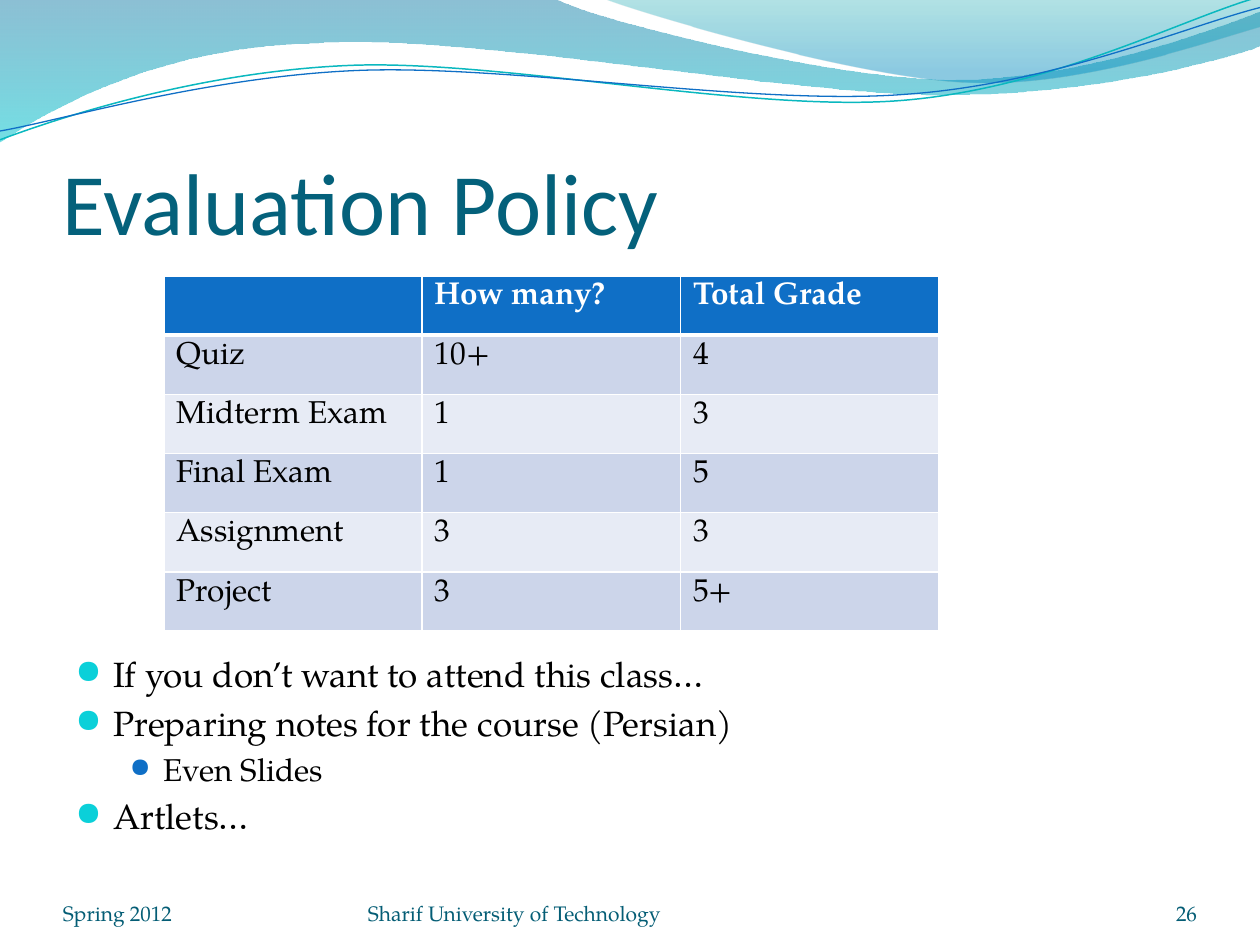
from lxml.etree import SubElement
from pptx import Presentation
from pptx.dml.color import RGBColor
from pptx.enum.text import MSO_ANCHOR, PP_ALIGN
from pptx.oxml.ns import qn
from pptx.util import Inches, Pt

SERIF = "TeX Gyre Pagella"


def color(code):
    return RGBColor.from_string(code)


def wave(start, parts, closed):
    """Add an outline; a part of one point is a line, of three a Bezier curve."""
    pen = slide.shapes.build_freeform(Inches(start[0]), Inches(start[1]))
    pen.add_line_segments([(Inches(x), Inches(y)) for part in parts for x, y in part],
                          close=closed)
    shape = pen.convert_to_shape()
    shape.shadow.inherit = False
    route = next(shape._element.iter(qn("a:path")))
    sides = iter(route.findall(qn("a:lnTo")))
    for part in parts:
        side = next(sides)
        if len(part) == 3:
            side.addprevious(bend := SubElement(route, qn("a:cubicBezTo")))
            for knot in (side, next(sides), next(sides)):
                bend.append(knot[0])
                route.remove(knot)
    return shape


deck = Presentation()
deck.slide_width, deck.slide_height = Inches(10), Inches(7.5)
slide = deck.slides.add_slide(deck.slide_layouts[6])

# Header bands: start, parts, gradient stops (position, color, opacity %)
bands = [
    ((0, 0), [[(4.4, -0.01)],
              [(4.76, 0.17), (6.64, 0.63), (7.58, 0.63)],
              [(8.53, 0.63), (9.58, 0.26), (10, 0.09)],
              [(10.01, 0.36)],
              [(9.83, 0.44), (8.7, 0.76), (7.46, 0.75)],
              [(6.22, 0.75), (3.82, 0.28), (2.57, 0.34)],
              [(1.29, 0.36), (0.46, 0.83), (-0.01, 1.13)],
              [(0, 0)]],
     [(0, "0074A1", 45), (1, "00C6CF", 55)]),
    ((4.79, -0.01), [[(5.09, 0.11), (6.82, 0.62), (7.69, 0.65)],
                     [(8.56, 0.69), (9.61, 0.32), (10, 0.21)],
                     [(10, 0)],
                     [(4.79, -0.01)]],
     [(0, "00A1A9", 30), (0.8, "008BBF", 45)]),
]
for start, parts, stops in bands:
    band = wave(start, parts, True)
    band.line.fill.background()
    band.fill.gradient()
    band.fill.gradient_angle = 270
    for stop, (place, code, alpha) in zip(band.fill.gradient_stops, stops):
        stop.position = place
        stop.color.rgb = color(code)
    tints = band._element.spPr.iter(qn("a:srgbClr"))
    for tint, (place, code, alpha) in zip(tints, stops):
        SubElement(tint, qn("a:alpha"), val=str(alpha * 1000))

# Header lines
lines = [
    ((0, 1.11), [[(0.48, 0.93), (1.58, 0.57), (2.77, 0.52)],
                 [(3.95, 0.47), (5.93, 0.89), (7.13, 0.8)],
                 [(8.33, 0.71), (9.38, 0.15), (9.98, -0.02)]], "0AB8BF", 0.85),
    ((0, 1.04), [[(0.47, 0.96), (1.64, 0.61), (2.83, 0.56)],
                 [(4.03, 0.51), (5.97, 0.84), (7.17, 0.75)],
                 [(8.36, 0.67), (9.41, 0.21), (10, 0.06)]], "0F6FC6", 0.75),
]
for start, parts, code, width in lines:
    curve = wave(start, parts, False)
    curve.fill.background()
    curve.line.color.rgb = color(code)
    curve.line.width = Pt(width)

# Title and footer
labels = [
    ("Evaluation Policy", 0.5, 0.76, 9, 1.25, 50, "Calibri", "04617B", PP_ALIGN.LEFT),
    ("Spring 2012", 0.5, 6.95, 2.33, 0.4, 12, SERIF, "045D75", PP_ALIGN.LEFT),
    ("Sharif University of Technology", 2.92, 6.95, 3.67, 0.4, 12, SERIF, "045D75",
     PP_ALIGN.LEFT),
    ("26", 8.67, 6.95, 0.83, 0.4, 12, SERIF, "045D75", PP_ALIGN.RIGHT),
]
for text, left, top, width, height, size, face, code, align in labels:
    box = slide.shapes.add_textbox(Inches(left), Inches(top), Inches(width), Inches(height))
    frame = box.text_frame
    frame.word_wrap = True
    frame.vertical_anchor = MSO_ANCHOR.BOTTOM
    frame.margin_left = frame.margin_right = 0
    frame.margin_top = frame.margin_bottom = 0
    para = frame.paragraphs[0]
    para.text, para.alignment = text, align
    font = para.font
    font.size, font.name, font.color.rgb = Pt(size), face, color(code)

# Bullets
notes = [
    ("If you don’t want to attend this class…", 0),
    ("Preparing notes for the course (Persian)", 0),
    ("Even Slides", 1),
    ("Artlets…", 0),
]
levels = [(0.3, 0.3, 20, "0BD0D9", 95), (0.7, 0.27, 18, "0F6FC6", 85)]
box = slide.shapes.add_textbox(Inches(0.5), Inches(5.13), Inches(9), Inches(1.79))
frame = box.text_frame
frame.word_wrap = True
for row, (text, level) in enumerate(notes):
    indent, hang, size, code, scale = levels[level]
    para = frame.add_paragraph() if row else frame.paragraphs[0]
    para.text, para.level = text, level
    para.space_before = Pt(size * 0.2 if row else 0)
    props = para._p.get_or_add_pPr()
    props.set("marL", str(Inches(indent)))
    props.set("indent", str(-Inches(hang)))
    SubElement(SubElement(props, qn("a:buClr")), qn("a:srgbClr"), val=code)
    SubElement(props, qn("a:buSzPct"), val=str(scale * 1000))
    SubElement(props, qn("a:buFont"), typeface="OpenSymbol")
    SubElement(props, qn("a:buChar"), char="●")
    font = para.font
    font.size, font.name, font.color.rgb = Pt(size), SERIF, color("000000")

# Grades
grades = [
    ("", "How many?", "Total Grade"),
    ("Quiz", "10+", "4"),
    ("Midterm Exam", "1", "3"),
    ("Final Exam", "1", "5"),
    ("Assignment", "3", "3"),
    ("Project", "3", "5+"),
]
table = slide.shapes.add_table(6, 3, Inches(1.3), Inches(2.19), Inches(6.15),
                               Inches(2.82)).table
for row, values in enumerate(grades):
    table.rows[row].height = Inches(0.47)
    for col, text in enumerate(values):
        cell = table.cell(row, col)
        props = cell._tc.get_or_add_tcPr()
        for side in "LRTB":
            thick = (row, side) in [(0, "B"), (1, "T")]
            edge = SubElement(props, qn(f"a:ln{side}"), w=str(Pt(3 if thick else 1)))
            SubElement(SubElement(edge, qn("a:solidFill")), qn("a:srgbClr"), val="FFFFFF")
        cell.fill.solid()
        fill = "CCD5EA" if row % 2 else "E7EBF5"
        cell.fill.fore_color.rgb = color(fill if row else "0F6FC6")
        para = cell.text_frame.paragraphs[0]
        para.text = text
        font = para.font
        font.size, font.name, font.bold = Pt(18), SERIF, row == 0
        font.color.rgb = color("000000" if row else "FFFFFF")

deck.save("out.pptx")
